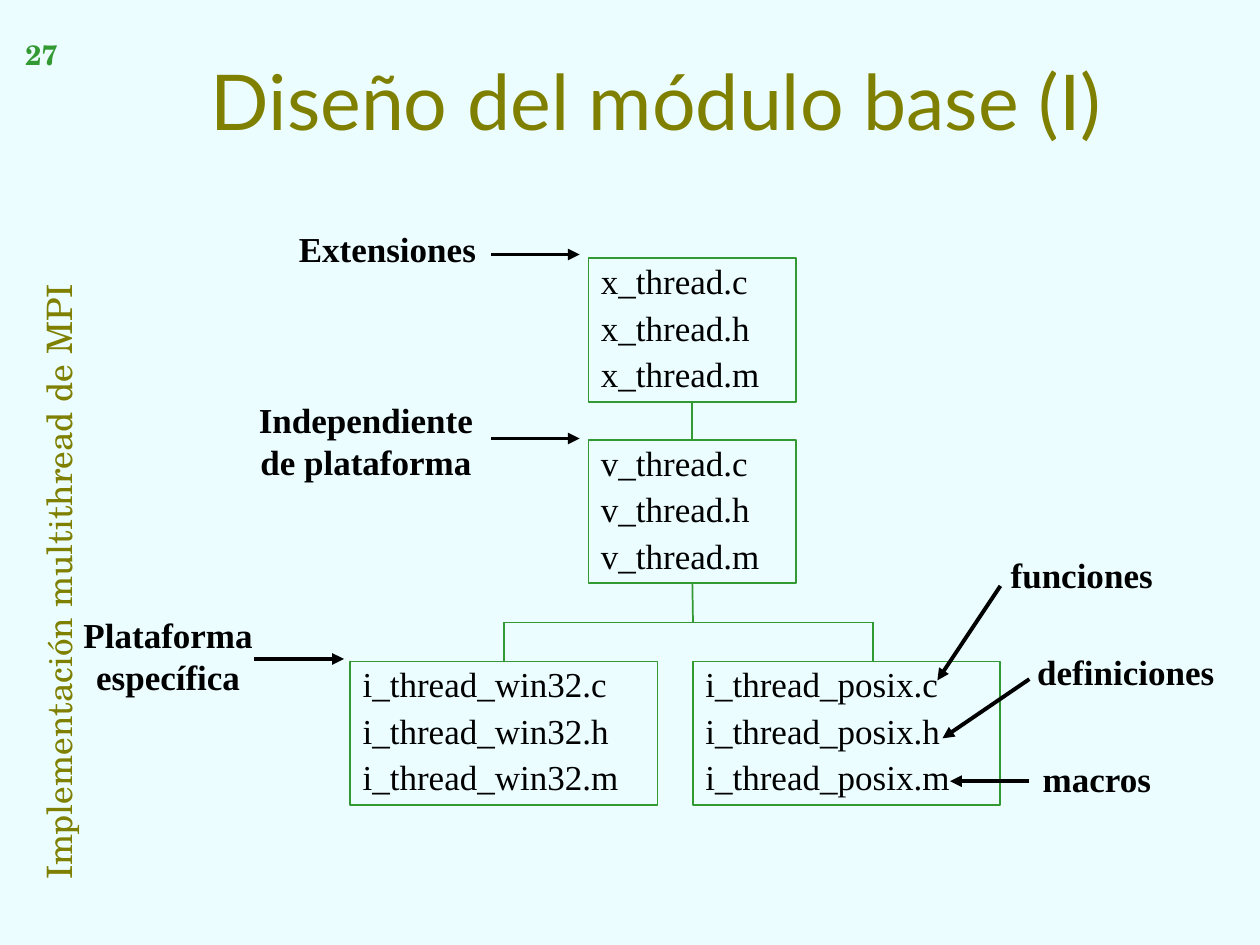
"""Slide showing the file layers of the base thread module and their roles."""
from dataclasses import dataclass

from lxml.etree import SubElement
from pptx import Presentation
from pptx.dml.color import RGBColor as Rgb
from pptx.enum.shapes import MSO_CONNECTOR as Connector
from pptx.enum.shapes import MSO_SHAPE as Shape
from pptx.enum.text import MSO_ANCHOR as Anchor
from pptx.enum.text import PP_ALIGN as Align
from pptx.oxml.ns import qn
from pptx.util import Inches, Pt


@dataclass(frozen=True)
class Theme:
    background: Rgb = Rgb(0xEB, 0xFD, 0xFF)
    olive: Rgb = Rgb(0x80, 0x80, 0x00)
    green: Rgb = Rgb(0x33, 0x99, 0x33)
    black: Rgb = Rgb(0, 0, 0)
    title_font: str = "Lato"
    side_font: str = "TeX Gyre Schola"
    body_font: str = "Times New Roman"
    title_size: Pt = Pt(44)
    body_size: Pt = Pt(20)
    number_size: Pt = Pt(16)
    thin: Pt = Pt(1)
    thick: Pt = Pt(2.25)


theme = Theme()


def write(frame, text, font, size, color, bold=False, align=Align.CENTER):
    frame.text = text
    for paragraph in frame.paragraphs:
        paragraph.alignment = align
        for run in paragraph.runs:
            run.font.name, run.font.size, run.font.bold = font, size, bold
            run.font.color.rgb = color


def draw_line(start, end, color, width, arrow=False):
    line = slide.shapes.add_connector(
        Connector.STRAIGHT, *(Inches(value) for value in (*start, *end)))
    line.line.color.rgb = color
    line.line.width = width
    if arrow:
        SubElement(line.line._get_or_add_ln(), qn("a:tailEnd"), type="triangle")
    SubElement(line._element.spPr, qn("a:effectLst"))
    return line


deck = Presentation()
deck.slide_width, deck.slide_height = Inches(10), Inches(7.5)
slide = deck.slides.add_slide(deck.slide_layouts[5])
slide.background.fill.solid()
slide.background.fill.fore_color.rgb = theme.background

course = slide.shapes.add_textbox(Inches(-2.71), Inches(3.87), Inches(6.17), Inches(0.25))
course.rotation = 270
course.text_frame.word_wrap = False
write(course.text_frame, "Implementación multithread de MPI", theme.side_font,
      theme.body_size, theme.olive, align=Align.LEFT)

title = slide.shapes.title
title.left, title.top = Inches(0.75), Inches(0.17)
title.width, title.height = Inches(8.92), Inches(1.25)
title.text_frame.vertical_anchor = Anchor.MIDDLE
write(title.text_frame, "Diseño del módulo base (I)", theme.title_font,
      theme.title_size, theme.olive)

modules = {}
for module, left, top, width in (
    ("i_thread_posix", 5.5, 5.25, 2.44),
    ("i_thread_win32", 2.78, 5.25, 2.44),
    ("v_thread", 4.67, 3.49, 1.65),
    ("x_thread", 4.67, 2.05, 1.65),
):
    box = slide.shapes.add_shape(
        Shape.RECTANGLE, Inches(left), Inches(top), Inches(width), Inches(1.14))
    box.shadow.inherit = False
    box.fill.background()
    box.line.color.rgb = theme.green
    box.line.width = theme.thin
    box.text_frame.vertical_anchor = Anchor.TOP
    write(box.text_frame, "\n".join(f"{module}.{suffix}" for suffix in "chm"),
          theme.body_font, theme.body_size, theme.black, align=Align.LEFT)
    for position, paragraph in enumerate(box.text_frame.paragraphs):
        paragraph.line_spacing = 0.9
        paragraph.space_before = Pt(5 if position else 0)
    modules[module] = box

branch_y = 4.94
for start, end, upper, lower in (
    ((4, branch_y), (6.93, branch_y), None, None),
    ((4, branch_y), (4, 5.25), None, "i_thread_win32"),
    ((6.93, branch_y), (6.93, 5.25), None, None),
    ((5.5, 4.63), (5.5, branch_y), "v_thread", None),
    ((5.5, 3.19), (5.5, 3.49), "x_thread", "v_thread"),
):
    link = draw_line(start, end, theme.green, theme.thin)
    if upper:
        link.begin_connect(modules[upper], 2)
    if lower:
        link.end_connect(modules[lower], 0)

for role, left, top, width, height, start, end in (
    ("funciones", 7.69, 4.34, 1.79, 0.44, (7.94, 4.65), (7.44, 5.4)),
    ("definiciones", 8.04, 5.11, 1.79, 0.44, (8.17, 5.39), (7.48, 5.86)),
    ("macros", 7.81, 5.96, 1.79, 0.44, (8.17, 6.2), (7.54, 6.2)),
    ("Independiente de plataforma", 1.81, 3.11, 2.19, 0.77, (3.9, 3.48), (4.6, 3.48)),
    ("Extensiones", 1.98, 1.76, 2.19, 0.44, (3.9, 2.02), (4.6, 2.02)),
    ("Plataforma específica", 0.42, 4.82, 1.83, 0.77, (2.02, 5.23), (2.73, 5.23)),
):
    label = slide.shapes.add_textbox(
        Inches(left), Inches(top), Inches(width), Inches(height))
    label.text_frame.word_wrap = True
    write(label.text_frame, role, theme.body_font, theme.body_size, theme.black, bold=True)
    draw_line(start, end, theme.black, theme.thick, arrow=True)

page = slide.shapes.add_textbox(Inches(0.08), Inches(0.25), Inches(0.5), Inches(0.75))
page.text_frame.word_wrap = True
write(page.text_frame, "27", theme.side_font, theme.number_size, theme.green, bold=True)

deck.save("out.pptx")
